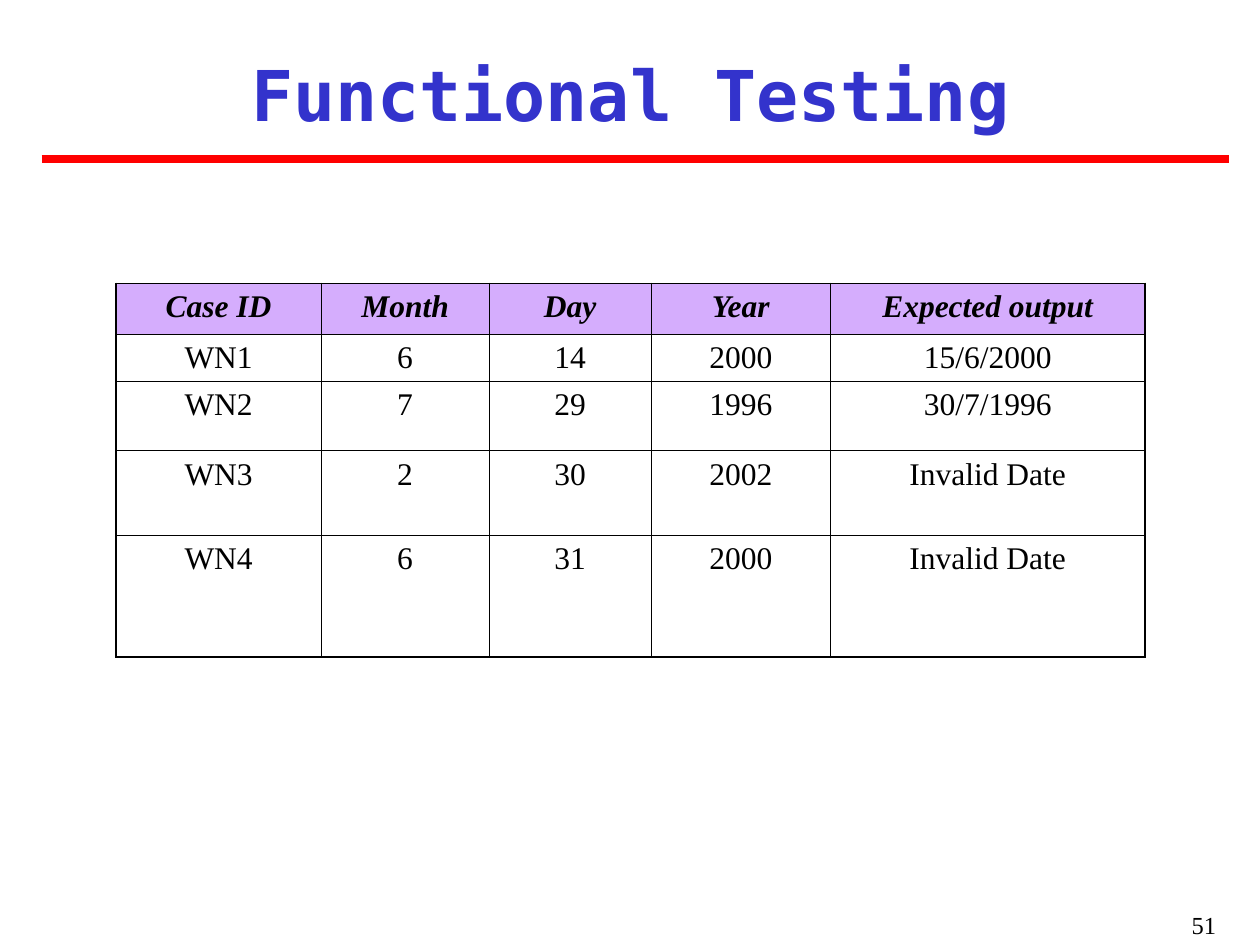
from lxml.etree import SubElement
from pptx import Presentation
from pptx.dml.color import RGBColor
from pptx.enum.shapes import MSO_CONNECTOR
from pptx.enum.text import MSO_ANCHOR as Anchor, PP_ALIGN as Align
from pptx.oxml.ns import qn
from pptx.util import Inches, Pt

COLORS = {
    "title": "3333CC",
    "rule": "FF0000",
    "header": "D5ADFD",
    "ink": "000000",
}
SERIF = "Times New Roman"
MONO = "DejaVu Sans Mono"
THIN, THICK = 0.45, 1.08

COLUMN_WIDTHS = [1.63, 1.33, 1.29, 1.42, 2.5]
ROW_HEIGHTS = [0.4, 0.34, 0.55, 0.67, 0.97]
CASES = [
    ["Case ID", "Month", "Day", "Year", "Expected output"],
    ["WN1", "6", "14", "2000", "15/6/2000"],
    ["WN2", "7", "29", "1996", "30/7/1996"],
    ["WN3", "2", "30", "2002", "Invalid Date"],
    ["WN4", "6", "31", "2000", "Invalid Date"],
]


def color(name):
    return RGBColor.from_string(COLORS[name])


def write(frame, text, *, size, font=SERIF, ink="ink", align=Align.CENTER,
          bold=False, italic=False):
    para = frame.paragraphs[0]
    para.alignment = align
    span = para.add_run()
    span.text = text
    span.font.name = font
    span.font.size = Pt(size)
    span.font.bold = bold
    span.font.italic = italic
    span.font.color.rgb = color(ink)


def add_text(page, text, left, top, width, height, *, side_inset=0.1,
             anchor=Anchor.TOP, **text_format):
    box = page.shapes.add_textbox(
        Inches(left), Inches(top), Inches(width), Inches(height))
    frame = box.text_frame
    frame.word_wrap = True
    frame.vertical_anchor = anchor
    frame.margin_left = frame.margin_right = Inches(side_inset)
    write(frame, text, **text_format)


def add_rule(page, left, right, top):
    rule = page.shapes.add_connector(
        MSO_CONNECTOR.STRAIGHT,
        Inches(left), Inches(top), Inches(right), Inches(top))
    rule.line.color.rgb = color("rule")
    rule.line.width = Pt(4.5)
    SubElement(rule._element.spPr, qn("a:effectLst"))


def set_borders(cell, outer_sides):
    properties = cell._tc.get_or_add_tcPr()
    for index, (side, is_outer) in enumerate(outer_sides.items()):
        width = Pt(THICK if is_outer else THIN)
        border = properties.makeelement(qn(f"a:{side}"), {"w": str(width)})
        fill = SubElement(border, qn("a:solidFill"))
        SubElement(fill, qn("a:srgbClr"), val=COLORS["ink"])
        properties.insert(index, border)


def add_case_table(page, left, top):
    last_row, last_column = len(CASES) - 1, len(COLUMN_WIDTHS) - 1
    table = page.shapes.add_table(
        len(CASES), len(COLUMN_WIDTHS), Inches(left), Inches(top),
        Inches(sum(COLUMN_WIDTHS)), Inches(sum(ROW_HEIGHTS))).table
    table.horz_banding = False
    for column, width in zip(table.columns, COLUMN_WIDTHS):
        column.width = Inches(width)
    for row, height in zip(table.rows, ROW_HEIGHTS):
        row.height = Inches(height)
    for r, values in enumerate(CASES):
        for c, value in enumerate(values):
            cell = table.cell(r, c)
            is_header = r == 0
            if is_header:
                cell.fill.solid()
                cell.fill.fore_color.rgb = color("header")
            else:
                cell.fill.background()
            write(cell.text_frame, value, size=18,
                  bold=is_header, italic=is_header)
            set_borders(cell, {"lnL": c == 0, "lnR": c == last_column,
                               "lnT": r == 0, "lnB": r == last_row})


def main():
    deck = Presentation()
    deck.slide_width, deck.slide_height = Inches(10), Inches(7.5)
    page = deck.slides.add_slide(deck.slide_layouts[6])
    add_rule(page, 0.33, 9.75, 1.26)
    add_case_table(page, 0.92, 2.25)
    add_text(page, "Functional Testing", 0.25, 0.33, 9.5, 0.83,
             side_inset=0.02, anchor=Anchor.MIDDLE,
             size=40, font=MONO, ink="title", bold=True)
    add_text(page, "51", 7.67, 7.17, 2.08, 0.33, size=14, align=Align.RIGHT)
    deck.save("out.pptx")


if __name__ == "__main__":
    main()
